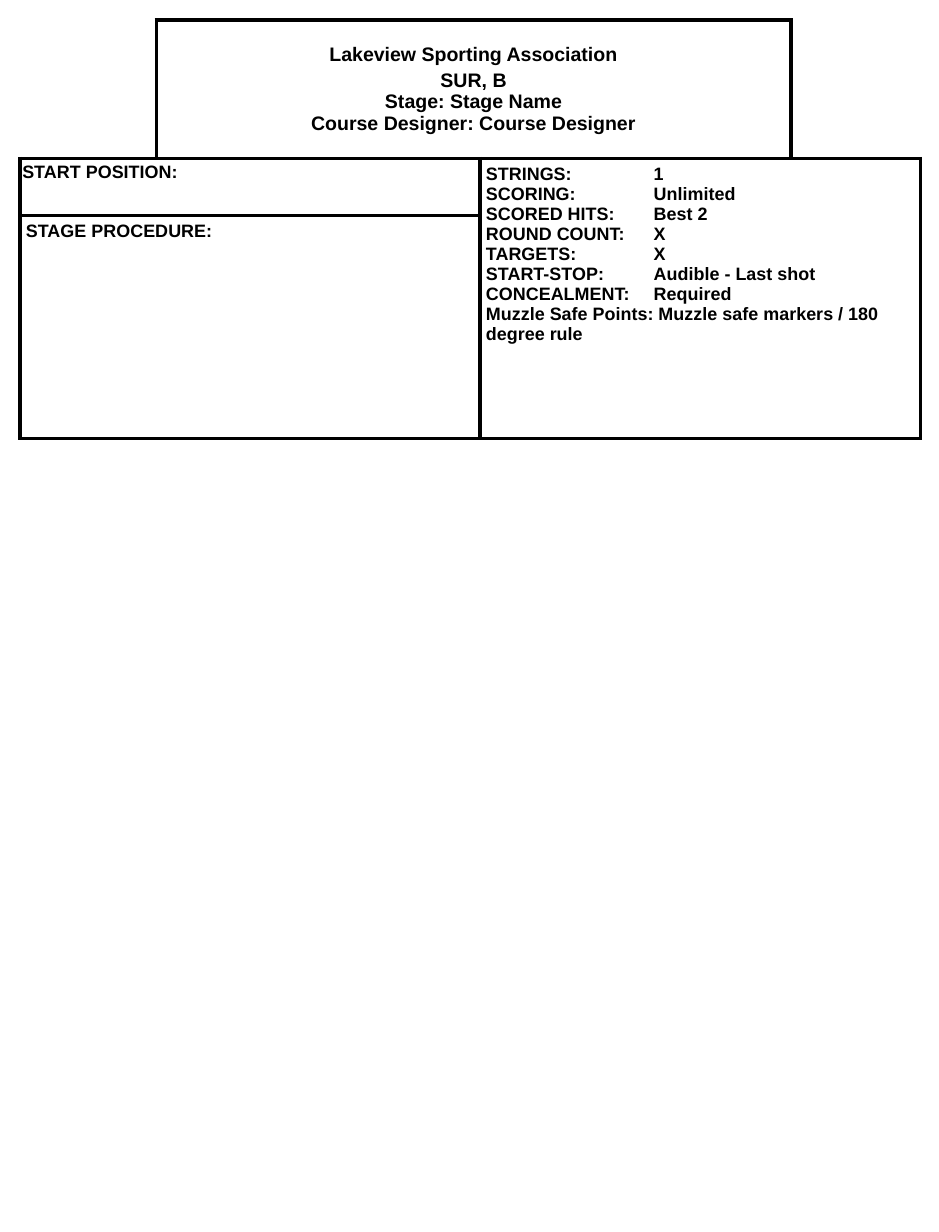
from lxml.etree import SubElement
from pptx import Presentation
from pptx.dml.color import RGBColor
from pptx.enum.text import MSO_ANCHOR, PP_ALIGN
from pptx.oxml import parse_xml
from pptx.oxml.ns import nsdecls, qn
from pptx.util import Inches, Pt

BLACK = RGBColor(0, 0, 0)
WHITE = RGBColor(255, 255, 255)
FONT = "Arial"
BORDER_WIDTH = Pt(2.25)
VALUE_TAB = Inches(1.43)

COLUMNS = [1.16, 2.76, 2.65, 1.1]
ROWS = [1.18, 0.49, 1.9]
MARGIN = 0.17
TITLE = [
    "Lakeview Sporting Association",
    "SUR, B\vStage: Stage Name\vCourse Designer: Course Designer",
]
DETAILS = [
    "STRINGS:\t1",
    "SCORING:\tUnlimited",
    "SCORED HITS:\tBest 2",
    "ROUND COUNT:\tX",
    "TARGETS:\tX",
    "START-STOP:\tAudible - Last shot",
    "CONCEALMENT:\tRequired",
    "Muzzle Safe Points: Muzzle safe markers / 180 degree rule",
]
BLOCKS = [
    {"from": (0, 1), "to": (0, 2), "lines": TITLE, "size": 12, "space": 2.4,
     "align": PP_ALIGN.CENTER, "anchor": MSO_ANCHOR.MIDDLE},
    {"from": (1, 0), "to": (1, 1), "lines": ["START POSITION:"], "insets": (0.02, 0.03)},
    {"from": (1, 2), "to": (2, 3), "lines": DETAILS},
    {"from": (2, 0), "to": (2, 1), "lines": ["STAGE PROCEDURE:"]},
]
OPEN_CORNERS = {(0, 0): "RB", (0, 3): "LB"}


def style_cell(cell, sides):
    cell.fill.solid()
    cell.fill.fore_color.rgb = WHITE
    properties = cell._tc.get_or_add_tcPr()
    for index, side in enumerate("LRTB"):
        paint = f'<a:solidFill><a:srgbClr val="{BLACK}"/></a:solidFill>' if side in sides else "<a:noFill/>"
        properties.insert(index, parse_xml(
            f'<a:ln{side} {nsdecls("a")} w="{BORDER_WIDTH}">{paint}</a:ln{side}>'))


def set_insets(cell, horizontal=0.05, vertical=0.05):
    cell.margin_left = cell.margin_right = Inches(horizontal)
    cell.margin_top = cell.margin_bottom = Inches(vertical)


def add_tab(paragraph):
    tabs = SubElement(paragraph._p.get_or_add_pPr(), qn("a:tabLst"))
    SubElement(tabs, qn("a:tab"), pos=str(VALUE_TAB), algn="l")


def write_lines(cell, block):
    frame = cell.text_frame
    for index, line in enumerate(block["lines"]):
        paragraph = frame.add_paragraph() if index else frame.paragraphs[0]
        paragraph.alignment = block.get("align", PP_ALIGN.LEFT)
        if index and "space" in block:
            paragraph.space_before = Pt(block["space"])
        if "\t" in line:
            add_tab(paragraph)
        for part_index, part in enumerate(line.split("\v")):
            if part_index:
                paragraph.add_line_break()
            run = paragraph.add_run()
            run.text = part
            run.font.name = FONT
            run.font.size = Pt(block.get("size", 11))
            run.font.bold = True
            run.font.color.rgb = BLACK


def main():
    presentation = Presentation()
    presentation.slide_width = Inches(8)
    presentation.slide_height = Inches(10.5)
    slide = presentation.slides.add_slide(presentation.slide_layouts[6])
    table = slide.shapes.add_table(
        len(ROWS), len(COLUMNS), Inches(MARGIN), Inches(MARGIN),
        Inches(sum(COLUMNS)), Inches(sum(ROWS))).table
    table.first_row = table.horz_banding = False
    for column, width in zip(table.columns, COLUMNS):
        column.width = Inches(width)
    for row, height in zip(table.rows, ROWS):
        row.height = Inches(height)

    for row in range(len(ROWS)):
        for column in range(len(COLUMNS)):
            cell = table.cell(row, column)
            style_cell(cell, OPEN_CORNERS.get((row, column), "LRTB"))
            set_insets(cell)

    for block in BLOCKS:
        cell = table.cell(*block["from"])
        cell.merge(table.cell(*block["to"]))
        cell.vertical_anchor = block.get("anchor", MSO_ANCHOR.TOP)
        set_insets(cell, *block.get("insets", ()))
        write_lines(cell, block)

    presentation.save("out.pptx")


if __name__ == "__main__":
    main()
